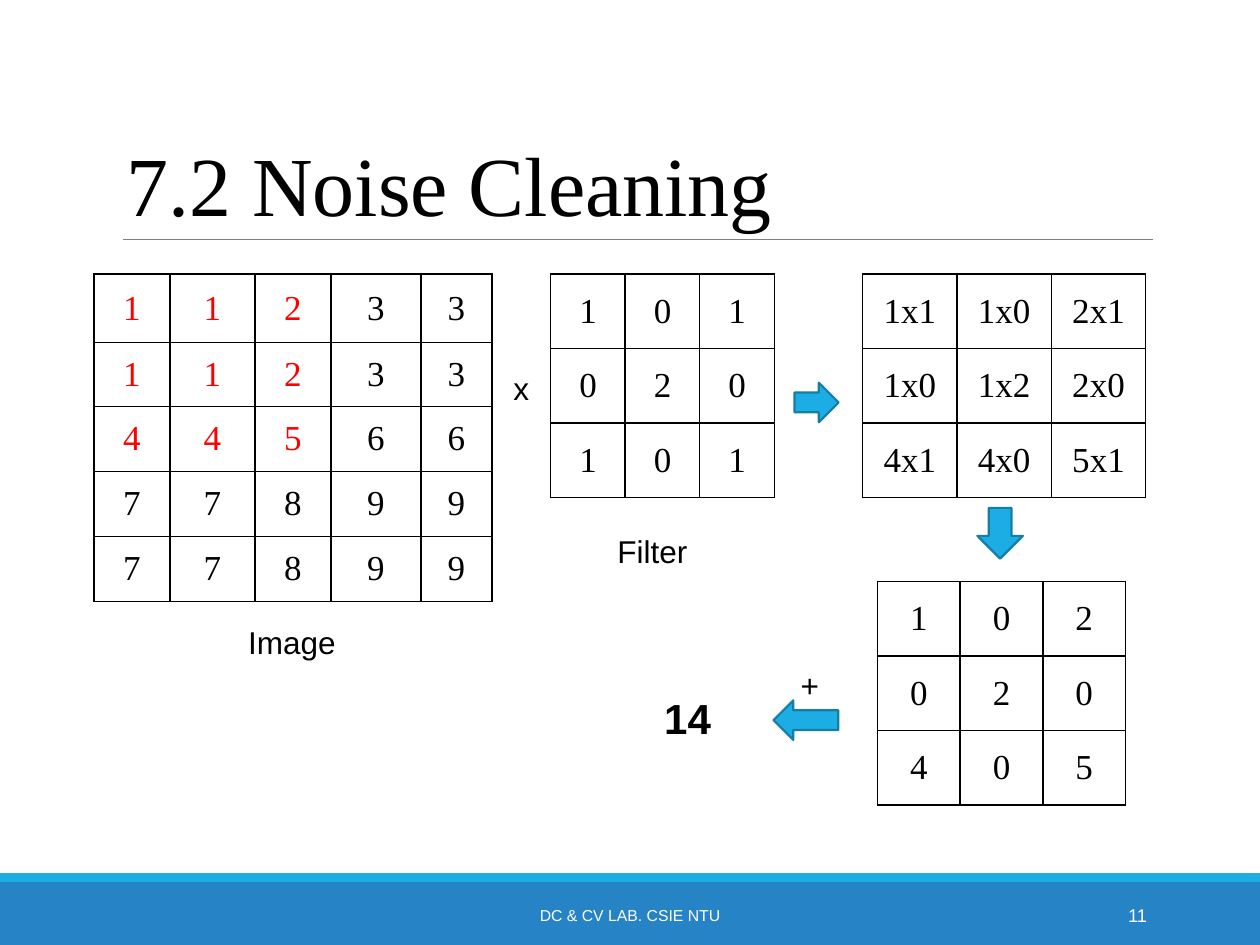
from lxml import etree
from pptx import Presentation
from pptx.dml.color import RGBColor
from pptx.enum.shapes import MSO_CONNECTOR, MSO_SHAPE
from pptx.enum.text import MSO_ANCHOR, PP_ALIGN
from pptx.oxml.ns import qn
from pptx.util import Pt

RECTANGLE = MSO_SHAPE.RECTANGLE
RIGHT_ARROW, DOWN_ARROW, LEFT_ARROW = (
    MSO_SHAPE.RIGHT_ARROW, MSO_SHAPE.DOWN_ARROW, MSO_SHAPE.LEFT_ARROW)
STRAIGHT = MSO_CONNECTOR.STRAIGHT
TOP, MIDDLE, BOTTOM = MSO_ANCHOR.TOP, MSO_ANCHOR.MIDDLE, MSO_ANCHOR.BOTTOM
LEFT, CENTER, RIGHT = PP_ALIGN.LEFT, PP_ALIGN.CENTER, PP_ALIGN.RIGHT

SERIF, SANS = "Times New Roman", "Arial"
BLACK, WHITE, RED, GRAY = "000000", "FFFFFF", "FF0000", "7F7F7F"
CYAN, DARK_CYAN, BLUE = "1CADE4", "147EA6", "2683C6"

IMAGE = [
    [1, 1, 2, 3, 3],
    [1, 1, 2, 3, 3],
    [4, 4, 5, 6, 6],
    [7, 7, 8, 9, 9],
    [7, 7, 8, 9, 9],
]
FILTER = [
    [1, 0, 1],
    [0, 2, 0],
    [1, 0, 1],
]
SIZE = len(FILTER)
PAIRS = [list(zip(pixels, weights)) for pixels, weights in zip(IMAGE, FILTER)]
TERMS = [[f"{pixel}x{weight}" for pixel, weight in row] for row in PAIRS]
PRODUCTS = [[pixel * weight for pixel, weight in row] for row in PAIRS]
TOTAL = sum(map(sum, PRODUCTS))


def color(hex_string):
    return RGBColor.from_string(hex_string)


def write(paragraph, text, size, font=SANS, ink=BLACK, align=LEFT, bold=False):
    run = paragraph.add_run()
    run.text = str(text)
    paragraph.alignment = align
    formats = {"name": font, "size": Pt(size), "bold": bold}
    for attribute, value in formats.items():
        setattr(run.font, attribute, value)
    run.font.color.rgb = color(ink)


def add_label(slide, box, text, size, anchor=TOP, line_spacing=None, **formats):
    frame = slide.shapes.add_textbox(*map(Pt, box)).text_frame
    frame.word_wrap = True
    frame.vertical_anchor = anchor
    paragraph = frame.paragraphs[0]
    paragraph.line_spacing = line_spacing
    write(paragraph, text, size, **formats)


def add_block(slide, preset, box, fill, outline=None):
    block = slide.shapes.add_shape(preset, *map(Pt, box))
    block.shadow.inherit = False
    block.fill.solid()
    block.fill.fore_color.rgb = color(fill)
    if outline:
        block.line.color.rgb = color(outline)
        block.line.width = Pt(1.25)
    else:
        block.line.fill.background()


def add_borders(cell):
    properties = cell._tc.get_or_add_tcPr()
    for position, side in enumerate(("lnL", "lnR", "lnT", "lnB")):
        border = etree.Element(qn(f"a:{side}"), w=str(Pt(1)))
        fill = etree.SubElement(border, qn("a:solidFill"))
        etree.SubElement(fill, qn("a:srgbClr"), val=BLACK)
        properties.insert(position, border)


def add_matrix(slide, left, top, values, widths, heights, marked=0):
    """Draw a bordered grid whose first marked rows and columns are red."""
    box = (left, top, sum(widths), sum(heights))
    grid = slide.shapes.add_table(
        len(heights), len(widths), *map(Pt, box)).table
    for column, width in zip(grid.columns, widths):
        column.width = Pt(width)
    for row, height in zip(grid.rows, heights):
        row.height = Pt(height)
    for r, row_values in enumerate(values):
        for c, value in enumerate(row_values):
            cell = grid.cell(r, c)
            cell.vertical_anchor = MIDDLE
            cell.fill.solid()
            cell.fill.fore_color.rgb = color(WHITE)
            add_borders(cell)
            ink = RED if max(r, c) < marked else BLACK
            write(cell.text_frame.paragraphs[0], value, 20,
                  font=SERIF, ink=ink, align=CENTER)


def add_header(slide, left, top, width, height):
    bottom = top + height
    rule = slide.shapes.add_connector(
        STRAIGHT, *map(Pt, (left + 5.5, bottom, left + width, bottom)))
    rule.line.color.rgb = color(GRAY)
    rule.line.width = Pt(0.75)
    etree.SubElement(rule._element.spPr, qn("a:effectLst"))
    add_label(slide, (left, top, width, height), "7.2 Noise Cleaning", 48,
              anchor=BOTTOM, line_spacing=0.85, font=SERIF)


def add_footer(slide, left, top, width, height):
    stripe = 5
    add_block(slide, RECTANGLE,
              (left, top + stripe, width, height - stripe), BLUE)
    add_block(slide, RECTANGLE, (left, top, width, stripe), CYAN)
    text_top = top + 9.5
    add_label(slide, (left + 217.5, text_top, 285, 29), "DC & CV LAB. CSIE NTU",
              9, anchor=MIDDLE, ink=WHITE, align=CENTER)
    add_label(slide, (left + 584.5, text_top, 78, 29), "11",
              10.5, anchor=MIDDLE, ink=WHITE, align=RIGHT)


def add_inputs(slide, left, top):
    """Place the image and the filter side by side with their captions."""
    add_matrix(slide, left, top, IMAGE, [43.4, 48.6, 43.4, 51.5, 40.5],
               [39, 36.5, 37.2, 37.2, 37.2], marked=SIZE)
    add_label(slide, (left + 81, top + 195.5, 67, 29), "Image", 18)
    add_label(slide, (left + 232.5, top + 50.5, 24, 29), "x", 18)
    add_matrix(slide, left + 261, top, FILTER, [42.6] * SIZE, [42.6] * SIZE)
    add_label(slide, (left + 292, top + 143.5, 57, 29), "Filter", 18)


def add_calculation(slide, left, top):
    """Lead from the terms through their products to the sum."""
    arrows = [
        (RIGHT_ARROW, (left, top + 62, 25.2, 22.6)),
        (DOWN_ARROW, (left + 104.5, top + 133.5, 26, 29)),
        (LEFT_ARROW, (left - 12, top + 243.5, 37, 22.6)),
    ]
    add_matrix(slide, left + 39, top, TERMS, [53.9] * SIZE, [42.6] * SIZE)
    add_matrix(slide, left + 47.5, top + 175.7, PRODUCTS,
               [47.2] * SIZE, [42.6] * SIZE)
    for preset, box in arrows:
        add_block(slide, preset, box, CYAN, DARK_CYAN)
    add_label(slide, (left - 3.5, top + 220.5, 33, 29), "+", 18)
    add_label(slide, (left - 81.5, top + 235.7, 55, 36), TOTAL, 24, bold=True)


def main():
    presentation = Presentation()
    presentation.slide_width, presentation.slide_height = Pt(720), Pt(540)
    slide = presentation.slides.add_slide(presentation.slide_layouts[6])
    add_footer(slide, 0, 499, 720, 41)
    add_header(slide, 65, 22.5, 594, 114.5)
    add_inputs(slide, 53.7, 156.7)
    add_calculation(slide, 454, 156.7)
    presentation.save("out.pptx")


if __name__ == "__main__":
    main()
